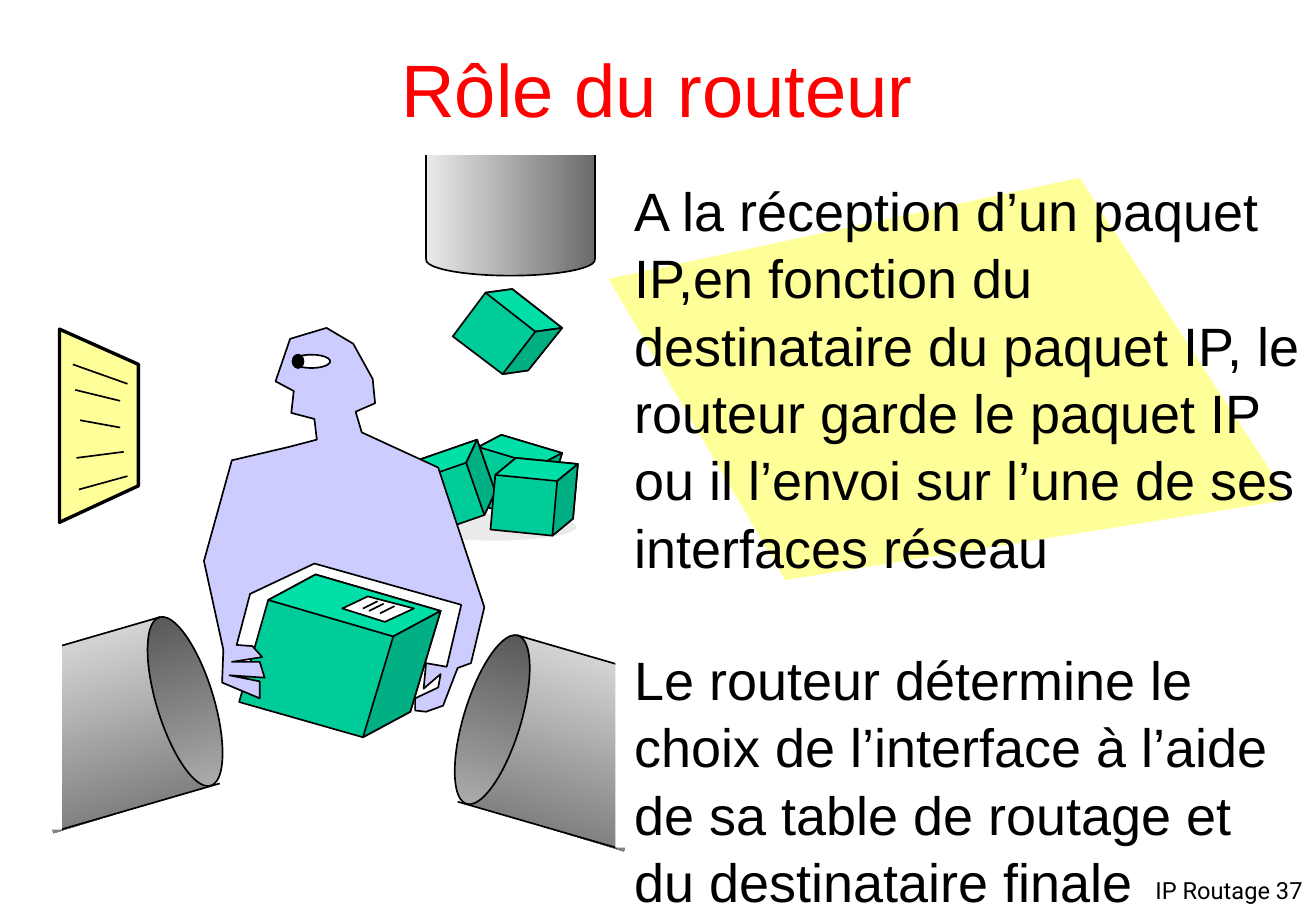
from dataclasses import dataclass

from lxml import etree
from pptx import Presentation
from pptx import util as u
from pptx.dml.color import RGBColor
from pptx.enum import shapes, text
from pptx.oxml.ns import qn

COLORS = {
    "black": "000000", "white": "FFFFFF", "title": "FF0000",
    "paper": "FFFF99", "ground": "EAEAEA", "skin": "CCCCFF",
    "box_front": "00CC99", "box_top": "00DFA7", "box_side": "00AF83",
    "metal_light": "EAEAEA", "metal_dark": "6B6B6B",
    "mouth_light": "B2B2B2", "mouth_dark": "525252",
}
Point = tuple[float, float]
RECTANGLE = shapes.MSO_SHAPE.RECTANGLE
OVAL = shapes.MSO_SHAPE.OVAL


@dataclass(frozen=True)
class Gradient:
    start: str
    end: str
    angle: int


@dataclass(frozen=True)
class Parcel:
    """Six outline corners, clockwise from the bottom left of the front."""
    outline: tuple[Point, ...]


@dataclass(frozen=True)
class Label:
    paragraphs: tuple[str, ...]
    box: tuple[float, float, float, float]
    size: float
    font: str
    color: str
    align: text.PP_ALIGN
    anchor: text.MSO_ANCHOR = text.MSO_ANCHOR.TOP
    spacing: float = 0.96
    margin: float = 0
    gap: float = 0


PARCEL_IN_HANDS = Parcel(((1.97, 5.78), (2.21, 4.94), (2.6, 4.73), (3.63, 5.03), (3.38, 5.86), (2.99, 6.07)))
OTHER_PARCELS = (
    Parcel(((3.81, 4.12), (3.94, 3.68), (4.13, 3.58), (4.63, 3.73), (4.5, 4.16), (4.31, 4.26))),
    Parcel(((3.5, 4.41), (3.35, 3.98), (3.44, 3.79), (3.93, 3.62), (4.08, 4.05), (3.99, 4.24))),
    Parcel(((4.04, 4.36), (4.08, 3.91), (4.25, 3.77), (4.76, 3.82), (4.72, 4.27), (4.55, 4.41))),
    Parcel(((3.73, 2.77), (4, 2.41), (4.22, 2.38), (4.63, 2.7), (4.35, 3.05), (4.14, 3.08))),
)
BACKDROP = ((5.02, 2.3), (8.89, 1.47), (10.61, 4.11), (6.47, 4.77))
ADDRESS_LABEL = ((2.82, 5.01), (3.03, 4.91), (3.41, 5.01), (3.17, 5.12))
ADDRESS_LINES = (((2.99, 5.01), (3.11, 4.95)), ((3.04, 5.03), (3.16, 4.97)), ((3.13, 5.05), (3.25, 4.99)))
ROUTING_TABLE = ((0.49, 4.3), (0.49, 2.71), (1.14, 3), (1.14, 4))
ROUTING_ENTRIES = (
    ((0.6, 3), (1.05, 3.16)), ((0.62, 3.21), (0.99, 3.3)), ((0.66, 3.46), (0.99, 3.52)),
    ((0.63, 3.77), (1.02, 3.72)), ((0.65, 4.03), (1.05, 3.92)),
)
CLERK = (
    (2.69, 2.7), (2.39, 2.79), (2.27, 3.14), (2.42, 3.22), (2.4, 3.4), (2.59, 3.45),
    (2.61, 3.62), (2.38, 3.68), (1.91, 3.79), (1.68, 4.62), (1.84, 5.35), (1.83, 5.62),
    (2.14, 5.75), (2.14, 5.61), (1.89, 5.56), (2.18, 5.58), (2.14, 5.45), (1.91, 5.45),
    (2.16, 5.41), (2.08, 5.32), (1.95, 5.31), (2.06, 4.89), (2.59, 4.64), (3.8, 4.98),
    (3.68, 5.49), (3.51, 5.46), (3.49, 5.67), (3.63, 5.55), (3.61, 5.66), (3.42, 5.75),
    (3.42, 5.85), (3.51, 5.86), (3.65, 5.81), (3.77, 5.5), (3.88, 5.46), (3.99, 5),
    (3.61, 3.85), (2.98, 3.56), (2.93, 3.39), (3.09, 3.32), (3.07, 3.12), (2.91, 2.83),
)
LABELS = (
    Label(("Rôle du routeur",), (0.81, 0.21, 9.21, 1.09), 44, "Arial", "title",
          text.PP_ALIGN.CENTER, text.MSO_ANCHOR.MIDDLE),
    Label(("A la réception d’un paquet IP,en fonction du destinataire du paquet IP, "
           "le routeur garde le paquet IP ou il l’envoi sur l’une de ses interfaces réseau",
           "Le routeur détermine le choix de l’interface à l’aide de sa table de routage "
           "et du destinataire finale"),
          (4.71, 1.39, 6.13, 6.11), 32, "Arial", "black", text.PP_ALIGN.LEFT,
          spacing=1.04, margin=0.42, gap=38.4),
    Label(("IP Routage 37",), (8.96, 7.18, 1.87, 0.36), 14, "Roboto", "black", text.PP_ALIGN.RIGHT),
)


def length(inches: float) -> u.Length:
    return u.Cm(inches * 2.54)


def rgb(name: str) -> RGBColor:
    return RGBColor.from_string(COLORS[name])


def paint(shape, fill: str | Gradient, line: str | None, width: float) -> None:
    shape.shadow.inherit = False
    if isinstance(fill, Gradient):
        shape.fill.gradient()
        shape.fill.gradient_angle = fill.angle
        for stop, name, position in zip(shape.fill.gradient_stops, (fill.start, fill.end), (0, 1)):
            stop.color.rgb = rgb(name)
            stop.position = position
    else:
        shape.fill.solid()
        shape.fill.fore_color.rgb = rgb(fill)
    if line is None:
        shape.line.fill.background()
    else:
        shape.line.color.rgb = rgb(line)
        shape.line.width = u.Pt(width)


def polygon(slide, points: tuple[Point, ...], fill: str, line: str = "black", width: float = 1) -> None:
    start, *rest = [(length(x), length(y)) for x, y in points]
    builder = slide.shapes.build_freeform(*start)
    builder.add_line_segments(rest, close=True)
    paint(builder.convert_to_shape(), fill, line, width)


def preset(slide, kind: shapes.MSO_SHAPE, box: tuple[float, float, float, float],
           fill: str | Gradient, line: str | None = None, rotation: float = 0) -> None:
    shape = slide.shapes.add_shape(kind, *map(length, box))
    shape.rotation = rotation
    paint(shape, fill, line, 1)


def stroke(slide, start: Point, end: Point) -> None:
    connector = slide.shapes.add_connector(shapes.MSO_CONNECTOR.STRAIGHT, *map(length, (*start, *end)))
    connector.line.color.rgb = rgb("black")
    connector.line.width = u.Pt(1)
    etree.SubElement(connector._element.spPr, qn("a:effectLst"))


def draw_parcel(slide, parcel: Parcel) -> None:
    _, left, back, right, low_right, bottom = parcel.outline
    near = (left[0] + right[0] - back[0], left[1] + right[1] - back[1])
    polygon(slide, parcel.outline, "box_front")
    polygon(slide, (left, back, right, near), "box_top")
    polygon(slide, (bottom, near, right, low_right), "box_side")


def draw_upper_pipe(slide) -> None:
    metal = Gradient("metal_light", "metal_dark", 0)
    preset(slide, OVAL, (3.51, 2.01, 1.39, 0.26), metal, "black")
    preset(slide, RECTANGLE, (3.51, 1.28, 1.39, 0.85), metal)
    for x in (3.51, 4.9):
        stroke(slide, (x, 2.13), (x, 1.28))


def draw_lower_pipe(slide, mirrored: bool) -> None:
    """Draw the left pipe, or its mirror image set slightly lower."""
    drop = 0.15 if mirrored else 0
    tilt = 17 if mirrored else -17

    def place(x: float, y: float, width: float = 0) -> Point:
        return (5.58 - x - width if mirrored else x), y + drop

    def part(kind, x, y, width, height, fill, line=None, rotation=0) -> None:
        preset(slide, kind, (*place(x, y, width), width, height), fill, line, rotation)

    part(RECTANGLE, 0.2, 5.24, 1.37, 1.45, Gradient("metal_light", "metal_dark", 270), rotation=tilt)
    part(OVAL, 1.29, 5.05, 0.47, 1.45, Gradient("mouth_dark", "mouth_light", 270), "black", tilt)
    stroke(slide, place(0.01, 5.46), place(1.32, 5.08))
    stroke(slide, place(0.5, 6.83), place(1.81, 6.45))
    part(RECTANGLE, 0.01, 5.27, 0.5, 1.56, "white")


def write(slide, label: Label) -> None:
    frame = slide.shapes.add_textbox(*map(length, label.box)).text_frame
    frame.word_wrap = True
    frame.vertical_anchor = label.anchor
    for index, words in enumerate(label.paragraphs):
        paragraph = frame.add_paragraph() if index else frame.paragraphs[0]
        paragraph.text = words
        paragraph.alignment = label.align
        paragraph.line_spacing = label.spacing
        paragraph.space_before = u.Pt(label.gap if index else 0)
        paragraph.font.name = label.font
        paragraph.font.size = u.Pt(label.size)
        paragraph.font.color.rgb = rgb(label.color)
        properties = paragraph._p.get_or_add_pPr()
        properties.set("marL", str(length(label.margin)))
        properties.set("indent", "0")


def main() -> None:
    deck = Presentation()
    deck.slide_width, deck.slide_height = length(10.84), length(7.5)
    slide = deck.slides.add_slide(deck.slide_layouts[6])

    polygon(slide, BACKDROP, "paper", "paper", 0.75)
    preset(slide, OVAL, (3.38, 4.23, 1.37, 0.22), "ground")
    draw_parcel(slide, PARCEL_IN_HANDS)
    polygon(slide, ADDRESS_LABEL, "white")
    for start, end in ADDRESS_LINES:
        stroke(slide, start, end)
    for parcel in OTHER_PARCELS:
        draw_parcel(slide, parcel)
    draw_upper_pipe(slide)
    polygon(slide, ROUTING_TABLE, "paper", width=2)
    for start, end in ROUTING_ENTRIES:
        stroke(slide, start, end)
    draw_lower_pipe(slide, mirrored=False)
    polygon(slide, CLERK, "skin")
    preset(slide, OVAL, (2.41, 2.92, 0.31, 0.11), "white", "black")
    preset(slide, OVAL, (2.41, 2.92, 0.09, 0.11), "black", "black")
    draw_lower_pipe(slide, mirrored=True)
    for label in LABELS:
        write(slide, label)
    deck.save("out.pptx")


if __name__ == "__main__":
    main()
